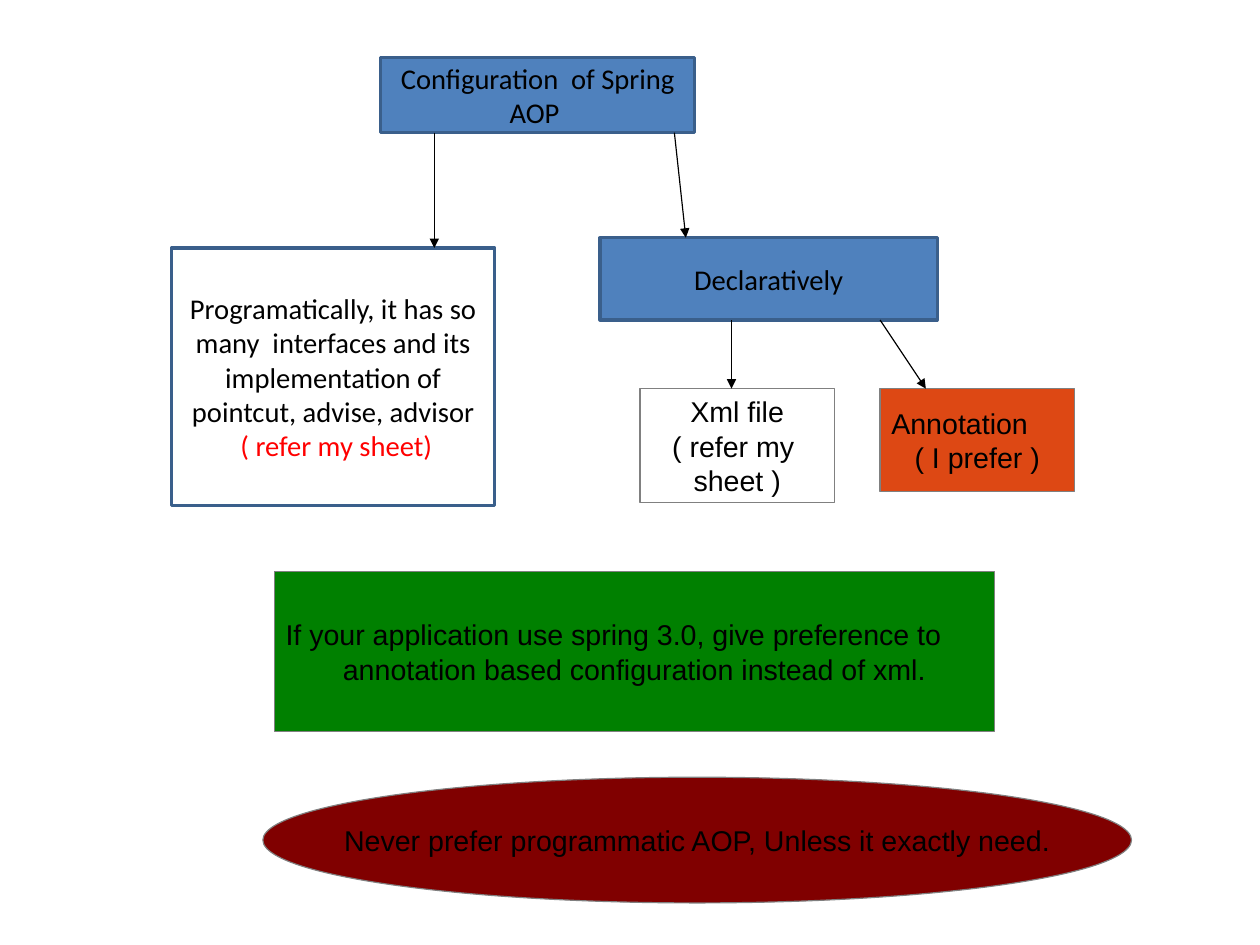
from dataclasses import dataclass

from pptx import Presentation
from pptx import util as u
from pptx.dml.color import RGBColor
from pptx.enum import shapes, text
from pptx.oxml import ns, xmlchemy

RECT = shapes.MSO_SHAPE.RECTANGLE
OVAL = shapes.MSO_SHAPE.OVAL
LEFT = text.PP_ALIGN.LEFT
CENTER = text.PP_ALIGN.CENTER


@dataclass(frozen=True)
class Theme:
    ink: str = "000000"
    remark: str = "FF0000"
    blue: str = "4F81BD"
    blue_edge: str = "3A5F8B"
    grey_edge: str = "808080"
    orange: str = "DD4814"
    green: str = "008000"
    maroon: str = "800000"
    heading_font: str = "Calibri"
    detail_font: str = "Arial"
    size: float = 18
    thick: float = 2
    thin: float = 0.75


THEME = Theme()
CELL = 0.1


@dataclass(frozen=True)
class Line:
    words: str
    align: text.PP_ALIGN = CENTER
    color: str = THEME.ink


@dataclass(frozen=True)
class Node:
    col: float
    row: float
    cols: float
    rows: float
    lines: tuple[Line, ...]
    fill: str | None = None
    edge: str = THEME.grey_edge
    weight: float = THEME.thin
    font: str = THEME.detail_font
    outline: shapes.MSO_SHAPE = RECT
    wrap: bool = True


@dataclass(frozen=True)
class Branch:
    parent: Node
    child: Node
    start_col: float
    end_col: float


def grid(cells: float) -> int:
    return u.Inches(cells * CELL)


def apply_format(target: object, values: dict[str, object]) -> None:
    for name, value in values.items():
        setattr(target, name, value)


def write_line(paragraph, line: Line, font: str) -> None:
    paragraph.alignment = line.align
    for index, words in enumerate(line.words.split("\n")):
        if index:
            paragraph.add_line_break()
        run = paragraph.add_run()
        run.text = words
        apply_format(run.font, {"name": font, "size": u.Pt(THEME.size)})
        run.font.color.rgb = RGBColor.from_string(line.color)


def draw_node(slide, node: Node) -> None:
    box = slide.shapes.add_shape(
        node.outline, *map(grid, (node.col, node.row, node.cols, node.rows)))
    box.shadow.inherit = False
    if node.fill:
        box.fill.solid()
        box.fill.fore_color.rgb = RGBColor.from_string(node.fill)
    else:
        box.fill.background()
    box.line.color.rgb = RGBColor.from_string(node.edge)
    box.line.width = u.Pt(node.weight)
    frame = box.text_frame
    apply_format(frame, {
        "word_wrap": node.wrap,
        "vertical_anchor": text.MSO_ANCHOR.MIDDLE,
        "margin_left": grid(1), "margin_right": grid(1),
        "margin_top": grid(0.5), "margin_bottom": grid(0.5),
    })
    for index, line in enumerate(node.lines):
        paragraph = frame.add_paragraph() if index else frame.paragraphs[0]
        write_line(paragraph, line, node.font)


def draw_branch(slide, branch: Branch) -> None:
    arrow = slide.shapes.add_connector(
        shapes.MSO_CONNECTOR.STRAIGHT,
        grid(branch.start_col), grid(branch.parent.row + branch.parent.rows),
        grid(branch.end_col), grid(branch.child.row))
    arrow.line.color.rgb = RGBColor.from_string(THEME.ink)
    arrow.line.width = u.Pt(THEME.thin)
    tail = xmlchemy.OxmlElement("a:tailEnd")
    tail.set("type", "triangle")
    arrow.line._get_or_add_ln().append(tail)
    properties = arrow._element.find(ns.qn("p:spPr"))
    properties.append(xmlchemy.OxmlElement("a:effectLst"))


HEADING = {"edge": THEME.blue_edge, "weight": THEME.thick,
           "font": THEME.heading_font}

configuration = Node(33.3, 5, 27.5, 6.6, (
    Line("Configuration  of Spring AOP "),), fill=THEME.blue, **HEADING)
programmatic = Node(15, 21.7, 28.3, 22.5, (
    Line("Programatically, it has so many  interfaces and its "
         "implementation of pointcut, advise, advisor"),
    Line(" ( refer my sheet)", color=THEME.remark)), **HEADING)
declarative = Node(52.5, 20.8, 29.5, 7.2, (
    Line("Declaratively"),), fill=THEME.blue, **HEADING)
xml_file = Node(56, 34, 17, 10, (
    Line("Xml file"), Line("( refer my \nsheet )")))
annotation = Node(77, 34, 17, 9, (
    Line("Annotation", LEFT), Line("( I prefer )")), fill=THEME.orange)
preference = Node(24, 50, 63, 14, (
    Line("If your application use spring 3.0, give preference to", LEFT),
    Line("annotation based configuration instead of xml.")),
    fill=THEME.green)
warning = Node(23, 68, 76, 11, (
    Line("Never prefer programmatic AOP, Unless it exactly need."),),
    fill=THEME.maroon, outline=OVAL, wrap=False)

NODES = (configuration, programmatic, declarative, xml_file, annotation,
         preference, warning)
BRANCHES = (
    Branch(configuration, programmatic, 38, 38),
    Branch(configuration, declarative, 59, 60),
    Branch(declarative, xml_file, 64, 64),
    Branch(declarative, annotation, 77, 81),
)


def main() -> None:
    deck = Presentation()
    deck.slide_width = u.Cm(28)
    deck.slide_height = u.Cm(21)
    slide = deck.slides.add_slide(deck.slide_layouts[6])
    for node in NODES:
        draw_node(slide, node)
    for branch in BRANCHES:
        draw_branch(slide, branch)
    deck.save("out.pptx")


if __name__ == "__main__":
    main()
